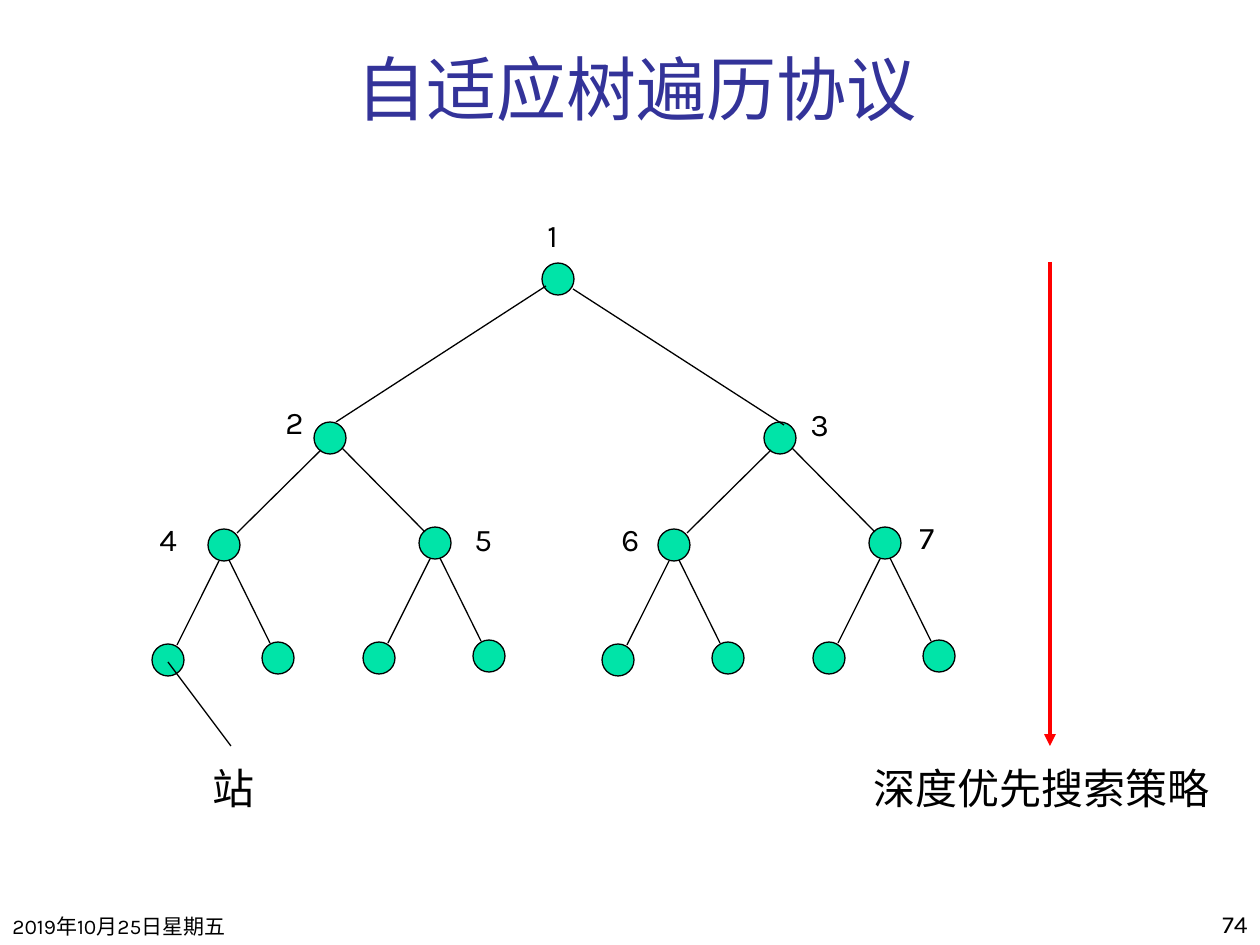
from typing import NamedTuple

from lxml.etree import SubElement
from pptx import Presentation
from pptx.dml.color import RGBColor
from pptx.enum.shapes import MSO_CONNECTOR, MSO_SHAPE
from pptx.enum.text import MSO_ANCHOR, MSO_AUTO_SIZE, PP_ALIGN
from pptx.oxml.ns import qn
from pptx.util import Emu, Pt

PX_PER_INCH = 126
FONT = "Karla"
BLACK, GREEN, RED, BLUE = "000000", "00E4A8", "FF0000", "333399"
NODE_SIZE = 32
HALF_SHIFT = 450


class Point(NamedTuple):
    x: int
    y: int

    def shifted(self, offset: "Point") -> "Point":
        return Point(self.x + offset.x, self.y + offset.y)


class Branch(NamedTuple):
    """A child and its edge, all as offsets from the parent's centre."""
    child: Point
    start: Point
    end: Point


class Label(NamedTuple):
    text: str
    left: int
    top: int
    width: int
    height: int
    size: int
    color: str = BLACK
    align: PP_ALIGN = PP_ALIGN.LEFT
    anchor: MSO_ANCHOR = MSO_ANCHOR.TOP
    auto_size: MSO_AUTO_SIZE = MSO_AUTO_SIZE.NONE


ROOT = Point(558, 279)
# One tuple of branches per level, from the root's children to the leaves
LEVELS = (
    (Branch(Point(-228, 159), Point(-12, 7), Point(-222, 143)),
     Branch(Point(-228 + HALF_SHIFT, 159), Point(15, 10), Point(226, 146))),
    (Branch(Point(-106, 107), Point(-9, 12), Point(-93, 95)),
     Branch(Point(105, 105), Point(12, 10), Point(95, 94))),
    (Branch(Point(-56, 115), Point(-5, 16), Point(-47, 100)),
     Branch(Point(54, 113), Point(5, 15), Point(46, 98))),
)
NUMBER_CORNERS = (
    Point(535, 210), Point(273, 397), Point(798, 399), Point(147, 514),
    Point(462, 514), Point(609, 514), Point(907, 512),
)
GROW = MSO_AUTO_SIZE.SHAPE_TO_FIT_TEXT
LABELS = (
    Label("2019年10月25日星期五", 0, 882, 262, 63, 12, anchor=MSO_ANCHOR.BOTTOM),
    Label("74", 998, 882, 262, 63, 14, align=PP_ALIGN.RIGHT, anchor=MSO_ANCHOR.BOTTOM),
    Label("自适应树遍历协议", 105, 32, 1063, 104, 40, BLUE, PP_ALIGN.CENTER, MSO_ANCHOR.BOTTOM),
    *(Label(str(number), corner.x, corner.y, 53, 50, 18, auto_size=GROW)
      for number, corner in enumerate(NUMBER_CORNERS, start=1)),
    Label("深度优先搜索策略", 861, 756, 378, 63, 24, auto_size=GROW),
    Label("站", 200, 756, 189, 63, 24, auto_size=GROW),
)


def px(value: int) -> Emu:
    return Emu(round(value * 914400 / PX_PER_INCH))


def rgb(color: str) -> RGBColor:
    return RGBColor.from_string(color)


def draw_node(page, center: Point) -> None:
    radius = NODE_SIZE // 2
    node = page.shapes.add_shape(
        MSO_SHAPE.OVAL, px(center.x - radius), px(center.y - radius),
        px(NODE_SIZE), px(NODE_SIZE))
    node.shadow.inherit = False
    node.fill.solid()
    node.fill.fore_color.rgb = rgb(GREEN)
    node.line.color.rgb = rgb(BLACK)
    node.line.width = Pt(0.75)


def draw_line(page, start: Point, end: Point, color: str = BLACK,
              width: float = 0.75, arrow: bool = False) -> None:
    line = page.shapes.add_connector(
        MSO_CONNECTOR.STRAIGHT, px(start.x), px(start.y), px(end.x), px(end.y))
    line.line.color.rgb = rgb(color)
    line.line.width = Pt(width)
    properties = line._element.spPr
    if arrow:
        SubElement(properties.find(qn("a:ln")), qn("a:tailEnd"), type="triangle")
    SubElement(properties, qn("a:effectLst"))


def draw_tree(page, center: Point, levels: tuple[tuple[Branch, ...], ...]) -> None:
    draw_node(page, center)
    if not levels:
        return
    for branch in levels[0]:
        draw_tree(page, center.shifted(branch.child), levels[1:])
        draw_line(page, center.shifted(branch.start), center.shifted(branch.end))


def draw_label(page, label: Label) -> None:
    box = page.shapes.add_textbox(
        px(label.left), px(label.top), px(label.width), px(label.height))
    frame_format = {
        "word_wrap": True,
        "auto_size": label.auto_size,
        "vertical_anchor": label.anchor,
    }
    for name, value in frame_format.items():
        setattr(box.text_frame, name, value)
    para = box.text_frame.paragraphs[0]
    para.alignment = label.align
    span = para.add_run()
    span.text = label.text
    for name, value in {"name": FONT, "size": Pt(label.size)}.items():
        setattr(span.font, name, value)
    span.font.color.rgb = rgb(label.color)


def main() -> None:
    deck = Presentation()
    deck.slide_width, deck.slide_height = px(1260), px(945)
    page = deck.slides.add_slide(deck.slide_layouts[6])
    draw_tree(page, ROOT, LEVELS)
    for label in LABELS:
        draw_label(page, label)
    draw_line(page, Point(1050, 262), Point(1050, 746), RED, 2.25, arrow=True)
    draw_line(page, Point(168, 662), Point(231, 746))
    deck.save("out.pptx")


if __name__ == "__main__":
    main()
